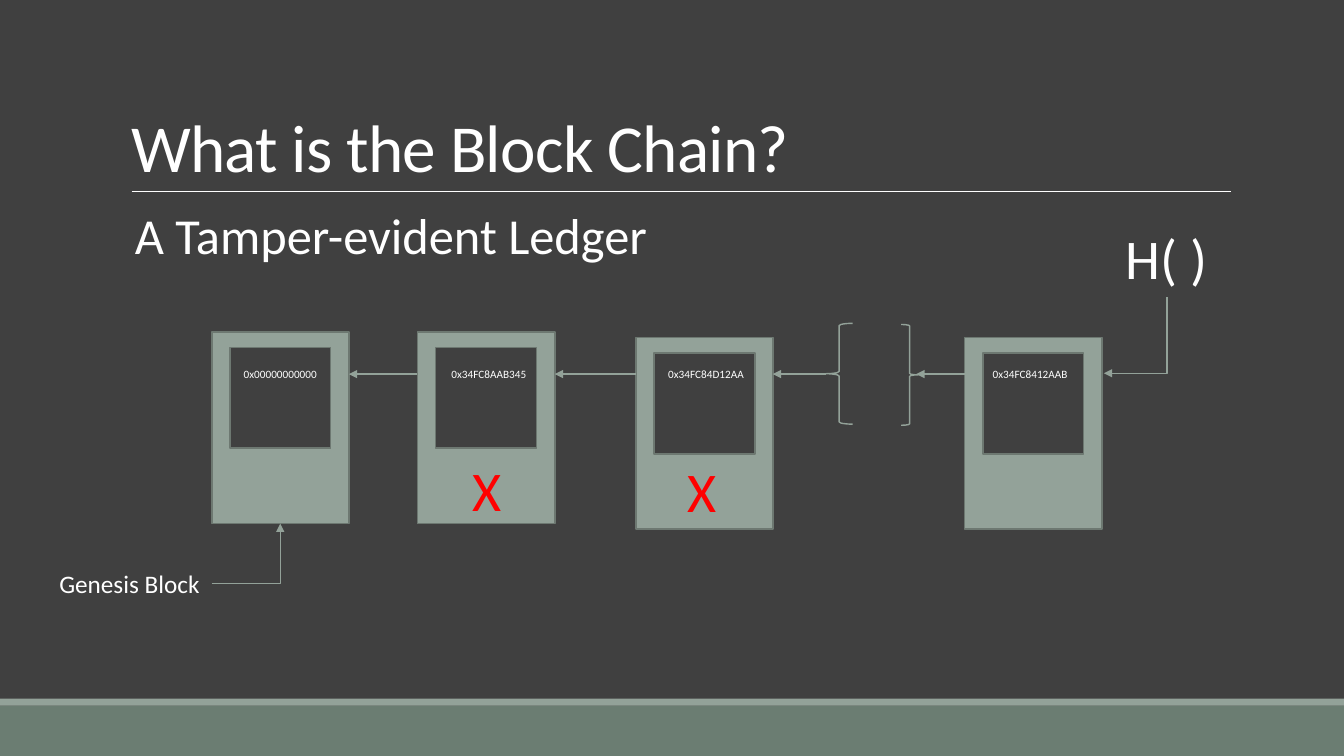
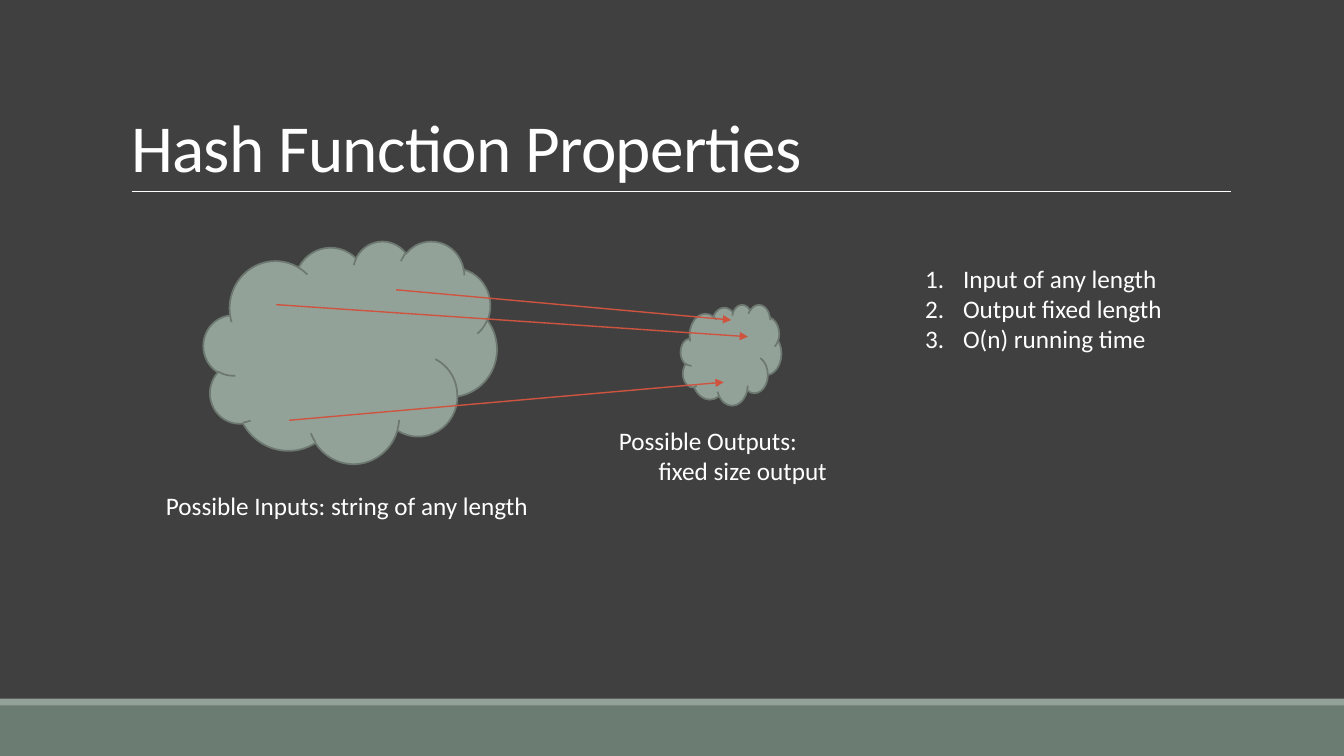
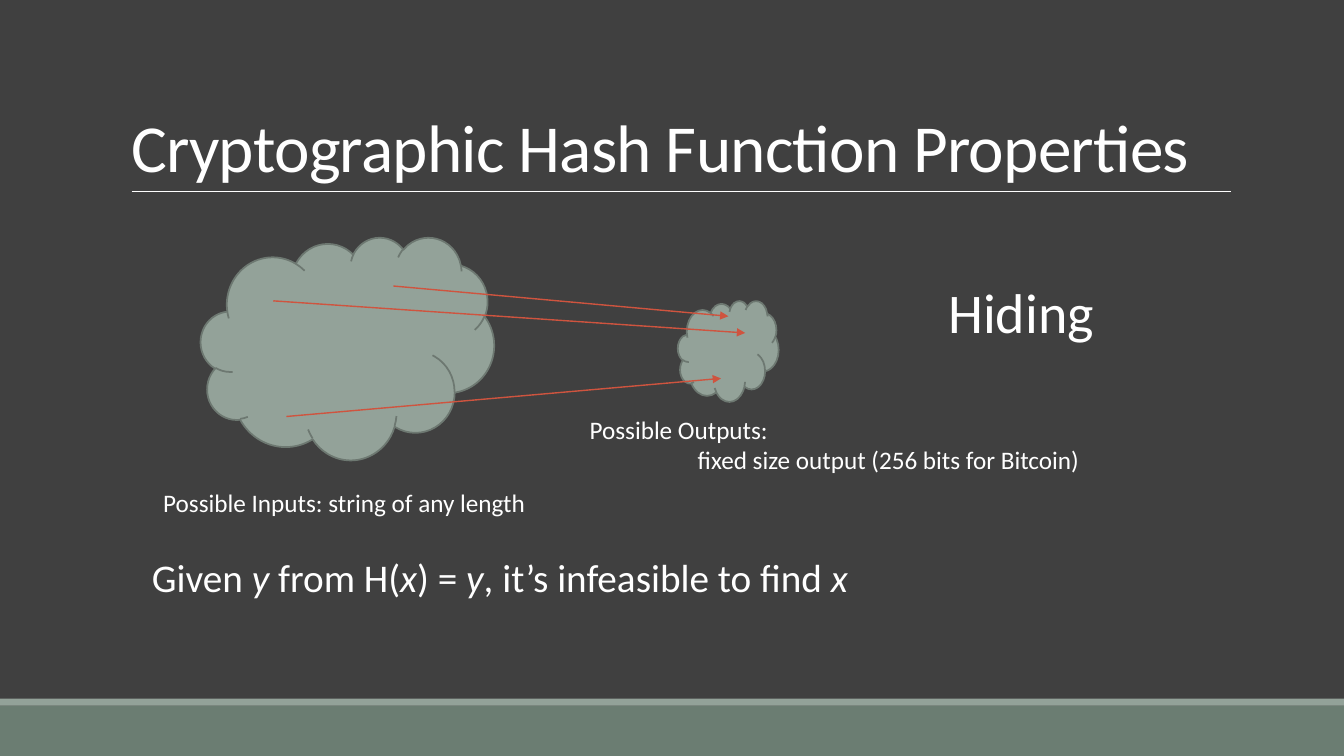
"""Build three slides on block chains and hash functions."""
from pptx import Presentation
from pptx.dml.color import RGBColor
from pptx.enum.shapes import MSO_CONNECTOR, MSO_SHAPE
from pptx.enum.text import MSO_ANCHOR, PP_ALIGN
from pptx.oxml.ns import qn
from pptx.util import Pt
from lxml.etree import SubElement

DARK = RGBColor(0x40, 0x40, 0x40)
GREEN = RGBColor(0x6B, 0x7D, 0x72)
SAGE = RGBColor(0x93, 0xA2, 0x99)
EDGE = RGBColor(0x6D, 0x78, 0x71)
RUST = RGBColor(0xCF, 0x54, 0x3F)
RED = RGBColor(0xFF, 0, 0)
WHITE = RGBColor(0xFF, 0xFF, 0xFF)
FONT = "Calibri"


def put(slide, kind, left, top, width, height, fill=None, edge=None, weight=1.25):
    shape = slide.shapes.add_shape(kind, Pt(left), Pt(top), Pt(width), Pt(height))
    shape.shadow.inherit = False
    if fill is None:
        shape.fill.background()
    else:
        shape.fill.solid()
        shape.fill.fore_color.rgb = fill
    if edge is None:
        shape.line.fill.background()
    else:
        shape.line.color.rgb = edge
        shape.line.width = Pt(weight)


def join(slide, start, end, color, weight=1, arrow=True, kind=MSO_CONNECTOR.STRAIGHT):
    link = slide.shapes.add_connector(kind, *[Pt(v) for v in (*start, *end)])
    link.line.color.rgb = color
    link.line.width = Pt(weight)
    if arrow:
        SubElement(link.line._get_or_add_ln(), qn("a:tailEnd"), type="triangle")
    props = link._element.spPr
    SubElement(props, qn("a:effectLst"))
    if kind == MSO_CONNECTOR.ELBOW:
        props.find(qn("a:prstGeom")).set("prst", "bentConnector2")
    return props


prs = Presentation()
prs.slide_width, prs.slide_height = Pt(960), Pt(540)
back = prs.slide_master.background.fill
back.solid()
back.fore_color.rgb = DARK

slides = []
for name in ("What is the Block Chain?", "Hash Function Properties",
             "Cryptographic Hash Function Properties"):
    slide = prs.slides.add_slide(prs.slide_layouts[5])
    slides.append(slide)
    put(slide, MSO_SHAPE.RECTANGLE, 0, 504, 960, 36, GREEN)
    put(slide, MSO_SHAPE.RECTANGLE, 0, 499, 960, 5, SAGE)
    join(slide, (94, 136.8), (879, 136.8), WHITE, 0.5, False)
    title = slide.shapes.title
    title.left, title.top, title.width, title.height = Pt(86.4), Pt(22.6), Pt(792), Pt(114.2)
    title.text_frame.text = name
    title.text_frame.vertical_anchor = MSO_ANCHOR.BOTTOM
    par = title.text_frame.paragraphs[0]
    par.alignment = PP_ALIGN.LEFT
    par.line_spacing = 0.85
    run = par.runs[0]
    run.font.name, run.font.size = FONT, Pt(48)
    run.font.color.rgb = WHITE
    run._r.get_or_add_rPr().set("spc", "-50")
chain, hashing, crypto = slides

for left, top in ((151.2, 237), (298.2, 237), (454.2, 241), (689, 241)):
    put(chain, MSO_SHAPE.RECTANGLE, left, top, 98, 137, SAGE, EDGE)
    put(chain, MSO_SHAPE.RECTANGLE, left + 13, top + 11.3, 72, 72, DARK, EDGE)
for start, end in ((692, 654.5), (589.7, 552), (454.2, 396.2), (298.2, 249.2)):
    join(chain, (start, 267.2), (end, 267.2), SAGE)
put(chain, MSO_SHAPE.LEFT_BRACE, 589.7, 231, 19.4, 72, None, SAGE, 1)
put(chain, MSO_SHAPE.RIGHT_BRACE, 643.7, 231.8, 12.2, 72, None, SAGE, 1)
join(chain, (151.2, 417), (200.2, 374), SAGE, kind=MSO_CONNECTOR.ELBOW)
bend = join(chain, (783.9, 217), (838.1, 262), SAGE, kind=MSO_CONNECTOR.ELBOW)
bend.find(qn("a:xfrm")).set("rot", "5400000")

labels = [
    (chain, 89.2, 142, 400, 36, WHITE, 0, ["A Tamper-evident Ledger"]),
    (chain, 167, 258.5, 70, 8, WHITE, 0, ["0x00000000000"]),
    (chain, 315.4, 258.5, 72, 8, WHITE, 0, ["0x34FC8AAB345"]),
    (chain, 470.2, 258.5, 72, 8, WHITE, 0, ["0x34FC84D12AA"]),
    (chain, 702, 258.5, 73, 8, WHITE, 0, ["0x34FC8412AAB"]),
    (chain, 797, 156.2, 76, 40, WHITE, 0, ["H( )"]),
    (chain, 35.3, 402.5, 118, 18, WHITE, 0, ["Genesis Block"]),
    (chain, 330.5, 321.8, 36, 40, RED, 0, ["X"]),
    (chain, 483.8, 322.6, 36, 40, RED, 0, ["X"]),
    (hashing, 434.9, 300.2, 178, 18, WHITE, 28.5,
     ["Possible Outputs:", "fixed size output"]),
    (crypto, 414, 292.3, 372, 18, WHITE, 77.3,
     ["Possible Outputs:", "fixed size output (256 bits for Bitcoin)"]),
    (crypto, 670.3, 194.4, 122, 40, WHITE, 0, ["Hiding"]),
    (crypto, 101.5, 391.7, 520, 28, WHITE, 0,
     ["Given *y* from H(*x*) = *y*, it’s infeasible to find *x*"]),
]

for slide, dx, dy in ((hashing, 0, 0), (crypto, -2, -2.7)):
    for left, top, width, height in ((145.4, 172, 209.5, 159), (486.2, 217.6, 72, 72)):
        put(slide, MSO_SHAPE.CLOUD, left + dx, top + dy, width, height, SAGE, EDGE)
    for x, y, tox, toy in ((283, 207, 522.3, 228.6), (197.2, 217.6, 534.3, 240.5),
                           (206.6, 300.2, 517, 273)):
        join(slide, (x + dx, y + dy), (tox + dx, toy + dy), RUST)
    labels.append((slide, 111.5 + dx, 347 + dy, 280, 18, WHITE, 0,
                   ["Possible Inputs: string of any length"]))
labels.append((hashing, 653.8, 184.3, 190, 18, WHITE, 0,
               ["Input of any length", "Output fixed length", "O(n) running time"]))

for slide, left, top, width, size, color, indent, lines in labels:
    height = 7.2 + 1.22 * size * len(lines)
    box = slide.shapes.add_textbox(Pt(left), Pt(top), Pt(width), Pt(height))
    frame = box.text_frame
    frame.word_wrap = True
    for row, line in enumerate(lines):
        par = frame.add_paragraph() if row else frame.paragraphs[0]
        if row and indent:
            par._p.get_or_add_pPr().set("marL", str(Pt(indent)))
        for part, words in enumerate(line.split("*")):
            if words:
                run = par.add_run()
                run.text = words
                run.font.name, run.font.size = FONT, Pt(size)
                run.font.color.rgb = color
                run.font.italic = part % 2 == 1

for par in frame.paragraphs:
    props = par._p.get_or_add_pPr()
    props.set("marL", str(Pt(27)))
    props.set("indent", str(-Pt(27)))
    SubElement(props, qn("a:buFont"), typeface="+mj-lt")
    SubElement(props, qn("a:buAutoNum"), type="arabicPeriod")

prs.save("out.pptx")
